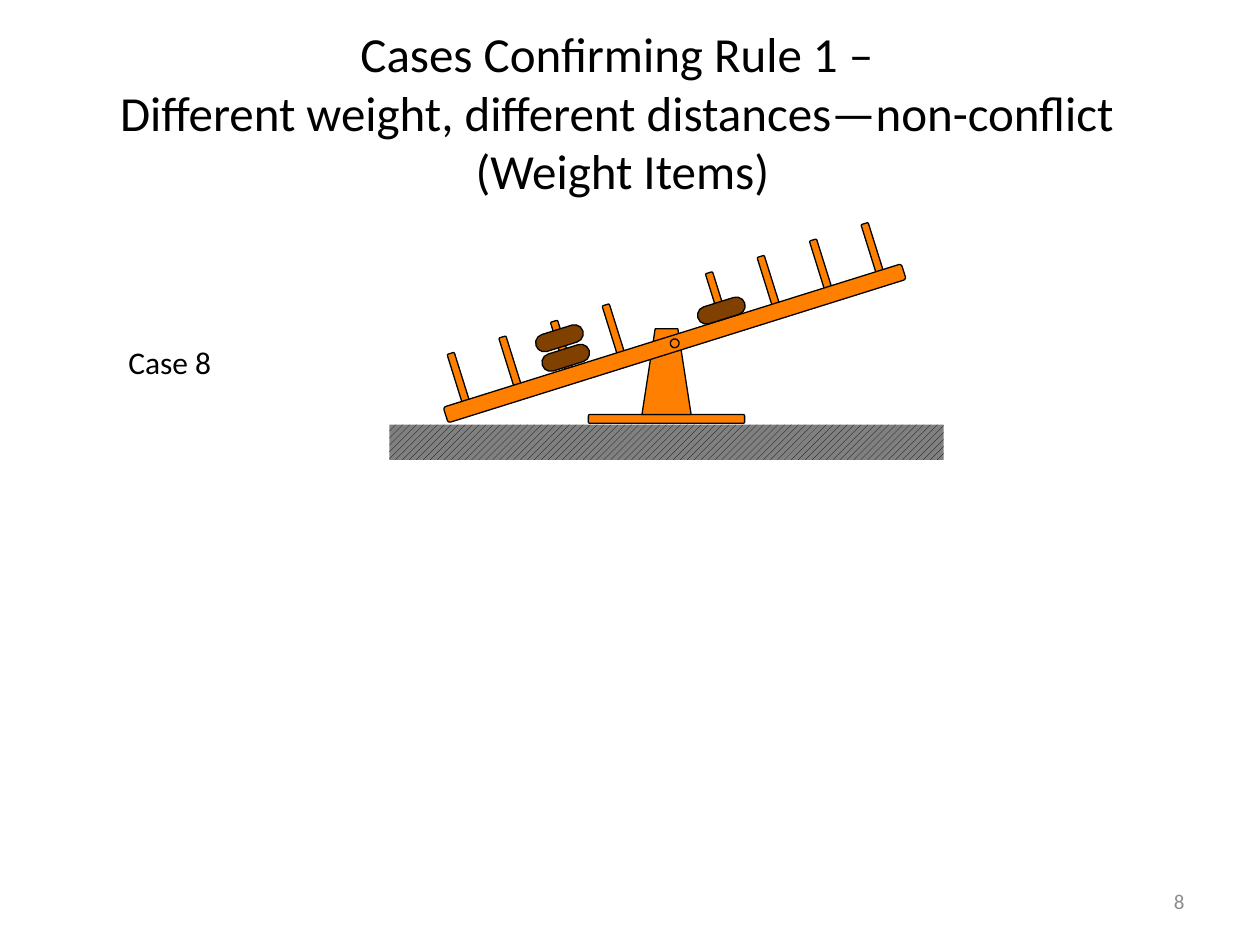
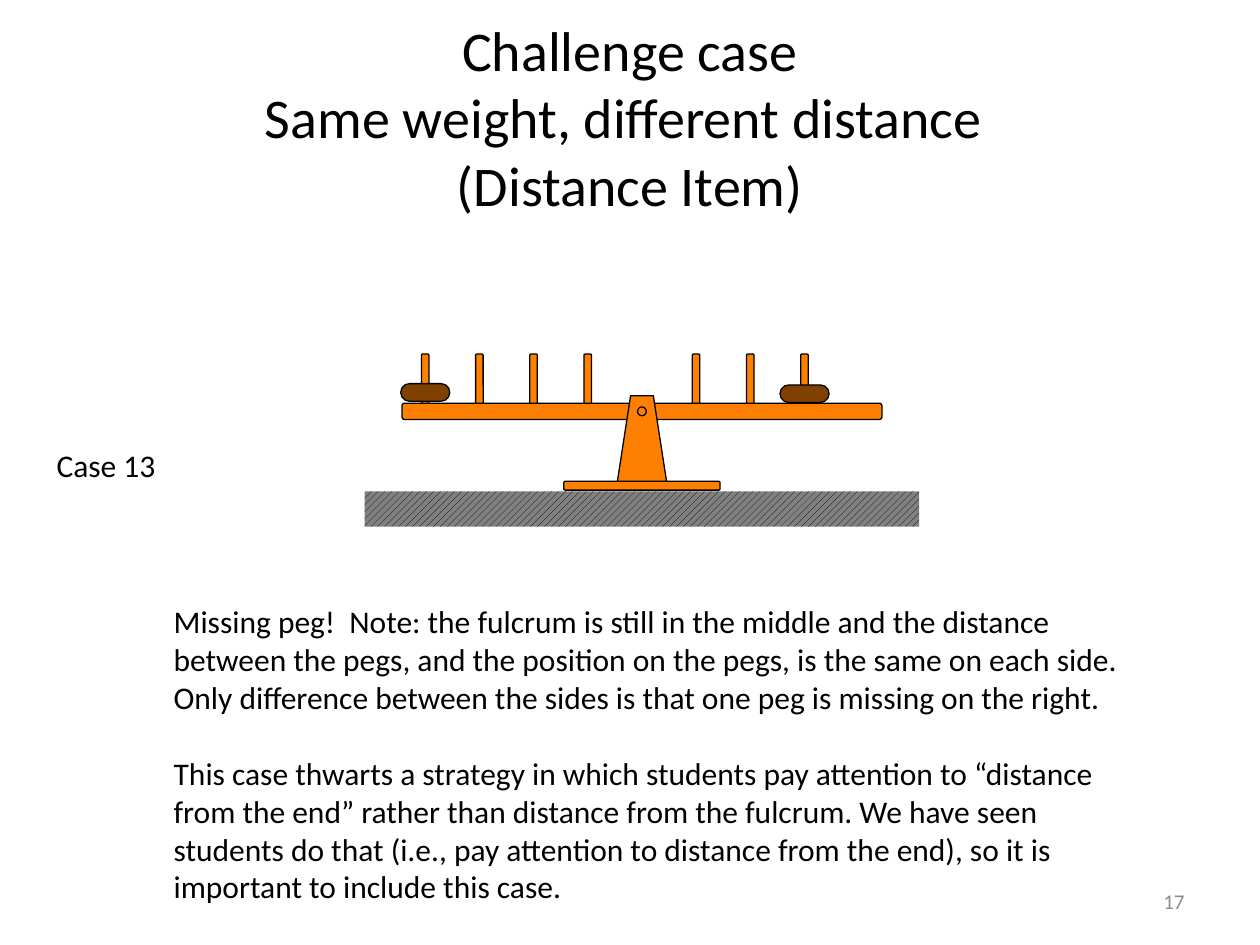
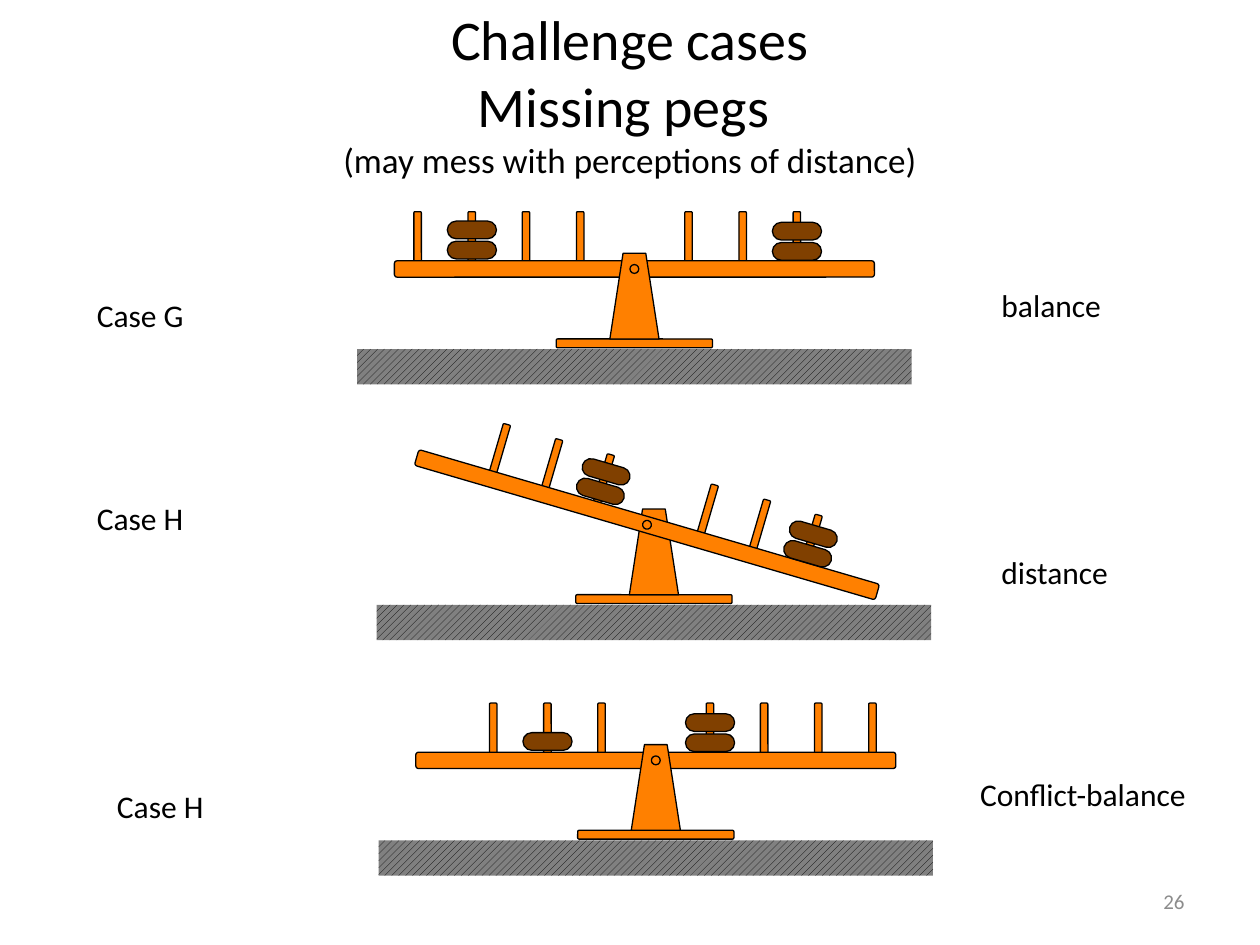
from dataclasses import dataclass
from math import cos, radians, sin

from pptx import Presentation
from pptx.dml.color import RGBColor
from pptx.enum.dml import MSO_PATTERN
from pptx.enum.shapes import MSO_SHAPE as Shape
from pptx.enum.text import MSO_ANCHOR as Anchor, MSO_AUTO_SIZE as AutoSize, PP_ALIGN as Align
from pptx.util import Emu, Pt

EMU_PER_PX = 4572
SLIDE_WIDTH, SLIDE_HEIGHT = 2000, 1500
FONT = "Calibri"
BLACK, GREY, MUTED = "000000", "808080", "8C8C8C"
ORANGE, BROWN = "FF8000", "804000"

PEG_PITCH, PEG_RISE = 86, 49
WEIGHT_PITCH, LEFT_RISE, RIGHT_RISE = 32, 30, 28
BEAM_SIZE, PEG_SIZE, WEIGHT_SIZE, PIVOT_SIZE = (762, 26), (12, 84), (78, 28), (14, 14)


@dataclass(frozen=True)
class Label:
    """A text box with its place and type."""
    text: str
    left: int
    top: int
    width: int
    height: int = 80
    size: int = 18
    color: str = BLACK
    align: Align = Align.LEFT
    anchor: Anchor = Anchor.TOP
    wrap: bool = False
    grow: bool = True
    paragraph_gap: int = 0


@dataclass(frozen=True)
class Balance:
    """A balance: pivot point, peg numbers, weights per peg, tilt and stand offset."""
    pivot_x: int
    pivot_y: int
    pegs: tuple[int, ...]
    weights: dict[int, int]
    tilt: float = 0
    stand_shift: tuple[int, int] = (0, 0)


@dataclass(frozen=True)
class CaseSlide:
    """The contents of one slide."""
    title: Label
    number: int
    labels: tuple[Label, ...]
    balances: tuple[Balance, ...]


def px(value: float) -> Emu:
    """Turn pixels into EMU."""
    return Emu(round(value) * EMU_PER_PX)


def rgb(color: str) -> RGBColor:
    """Turn a hex string into a colour."""
    return RGBColor.from_string(color)


def title(text: str, top: int, size: int = 32, left: int = 100, width: int = 1800) -> Label:
    """Describe a centred slide title."""
    return Label(text, left, top, width, 250, size, align=Align.CENTER,
                 anchor=Anchor.MIDDLE, wrap=True, grow=False)


def page_number(number: int) -> Label:
    """Describe the page number in the bottom right corner."""
    return Label(str(number), 1434, 1390, 466, 80, 12, MUTED, Align.RIGHT,
                 Anchor.MIDDLE, wrap=True, grow=False)


def draw_label(slide, label: Label):
    """Draw a text box and return its text frame."""
    box = slide.shapes.add_textbox(px(label.left), px(label.top), px(label.width), px(label.height))
    frame = box.text_frame
    frame.text = label.text
    frame.word_wrap = label.wrap
    frame.auto_size = AutoSize.SHAPE_TO_FIT_TEXT if label.grow else AutoSize.NONE
    frame.vertical_anchor = label.anchor
    for index, paragraph in enumerate(frame.paragraphs):
        paragraph.alignment = label.align
        if index:
            paragraph.space_before = Pt(label.paragraph_gap)
        for run in paragraph.runs:
            run.font.name = FONT
            run.font.size = Pt(label.size)
            run.font.color.rgb = rgb(label.color)
    return frame


def draw_part(group, kind: Shape, center: tuple[float, float], size: tuple[int, int],
              color: str = ORANGE, adjustment: float | None = None, tilt: float = 0):
    """Draw one outlined part around its centre."""
    (x, y), (width, height) = center, size
    shape = group.shapes.add_shape(kind, px(x - width / 2), px(y - height / 2), px(width), px(height))
    shape.shadow.inherit = False
    shape.rotation = tilt
    if adjustment is not None:
        shape.adjustments[0] = adjustment
    shape.fill.solid()
    shape.fill.fore_color.rgb = rgb(color)
    shape.line.color.rgb = rgb(BLACK)
    shape.line.width = Pt(0.75)
    return shape


def draw_stand(group, balance: Balance) -> None:
    """Draw the foot and post of a balance."""
    x = balance.pivot_x + balance.stand_shift[0]
    y = balance.pivot_y + balance.stand_shift[1]
    draw_part(group, Shape.ROUNDED_RECTANGLE, (x, y + 118), (248, 14), adjustment=0.167)
    draw_part(group, Shape.TRAPEZOID, (x, y + 43), (78, 136), adjustment=0.269)


def draw_ground(group, balance: Balance) -> None:
    """Draw the hatched ground under a balance."""
    x = balance.pivot_x + balance.stand_shift[0]
    y = balance.pivot_y + balance.stand_shift[1]
    ground = draw_part(group, Shape.RECTANGLE, (x, y + 155), (880, 56))
    ground.fill.patterned()
    ground.fill.pattern = MSO_PATTERN.WIDE_UPWARD_DIAGONAL
    ground.fill.fore_color.rgb = rgb(BLACK)
    ground.fill.back_color.rgb = rgb(GREY)
    ground.line.fill.background()


def draw_balance(slide, balance: Balance) -> None:
    """Draw a balance, with the post behind the beam when it tilts."""
    group = slide.shapes.add_group_shape()
    angle = radians(balance.tilt)

    def on_beam(peg: int, rise: int) -> tuple[float, float]:
        """Find a point above a peg number, turned with the beam."""
        along = peg * PEG_PITCH
        return (balance.pivot_x + along * cos(angle) + rise * sin(angle),
                balance.pivot_y + along * sin(angle) - rise * cos(angle))

    if balance.tilt:
        draw_stand(group, balance)
    for peg in balance.pegs:
        draw_part(group, Shape.ROUNDED_RECTANGLE, on_beam(peg, PEG_RISE), PEG_SIZE,
                  adjustment=0.167, tilt=balance.tilt)
    draw_part(group, Shape.ROUNDED_RECTANGLE, on_beam(0, 0), BEAM_SIZE,
              adjustment=0.167, tilt=balance.tilt)
    if not balance.tilt:
        draw_stand(group, balance)
    draw_part(group, Shape.OVAL, on_beam(0, 0), PIVOT_SIZE, tilt=balance.tilt)
    draw_ground(group, balance)
    for peg, count in balance.weights.items():
        first_rise = LEFT_RISE if peg < 0 else RIGHT_RISE
        for level in range(count):
            draw_part(group, Shape.ROUNDED_RECTANGLE, on_beam(peg, first_rise + level * WEIGHT_PITCH),
                      WEIGHT_SIZE, BROWN, 0.5, balance.tilt)


ALL_PEGS = (-4, -3, -2, -1, 1, 2, 3, 4)
NO_LEFT_END = ALL_PEGS[1:]
NO_RIGHT_END = ALL_PEGS[:-1]
NO_ENDS = ALL_PEGS[1:-1]

EXPLANATION = (
    "Missing peg!  Note: the fulcrum is still in the middle and the distance between the pegs, "
    "and the position on the pegs, is the same on each side. Only difference between the sides "
    "is that one peg is missing on the right.\n"
    "This case thwarts a strategy in which students pay attention to “distance from the end” "
    "rather than distance from the fulcrum. We have seen students do that (i.e., pay attention "
    "to distance from the end), so it is important to include this case."
)

CASE_SLIDES = (
    CaseSlide(
        title("Cases Confirming Rule 1 – \vDifferent weight, different distances—non-conflict "
              "\v(Weight Items)", 52, 28, 22, 1932),
        8,
        (Label("Case 8", 184, 534, 174),),
        (Balance(1071, 545, ALL_PEGS, {-2: 2, 1: 1}, -17.4, (-13, 2)),),
    ),
    CaseSlide(
        title("Challenge case\vSame weight, different distance \v(Distance Item)", 60),
        17,
        (Label(EXPLANATION, 256, 946, 1548, 504, wrap=True, paragraph_gap=22),
         Label("Case 13", 70, 698, 198)),
        (Balance(1019, 653, NO_RIGHT_END, {-4: 1, 3: 1}),),
    ),
    CaseSlide(
        title("Challenge cases\vMissing pegs \v(may mess with perceptions of distance)", 22),
        26,
        (Label("Case G", 134, 460, 180), Label("balance", 1570, 444, 200),
         Label("Case H", 134, 782, 180), Label("distance", 1570, 868, 212),
         Label("Case H", 166, 1240, 180), Label("Conflict-balance", 1536, 1220, 372)),
        (Balance(1007, 427, NO_RIGHT_END, {-3: 2, 3: 2}),
         Balance(1027, 833, NO_ENDS, {-1: 2, 3: 2}, 16.3, (11, 0)),
         Balance(1041, 1207, NO_LEFT_END, {-2: 1, 1: 2})),
    ),
)


def main() -> None:
    """Build and save the presentation."""
    presentation = Presentation()
    presentation.slide_width, presentation.slide_height = px(SLIDE_WIDTH), px(SLIDE_HEIGHT)
    for case_slide in CASE_SLIDES:
        slide = presentation.slides.add_slide(presentation.slide_layouts[6])
        title_frame = draw_label(slide, case_slide.title)
        for run in title_frame.paragraphs[0].runs:
            if run.text.startswith("(may"):
                run.font.size = Pt(20)
        for label in (*case_slide.labels, page_number(case_slide.number)):
            draw_label(slide, label)
        for balance in case_slide.balances:
            draw_balance(slide, balance)
    presentation.save("out.pptx")


if __name__ == "__main__":
    main()
